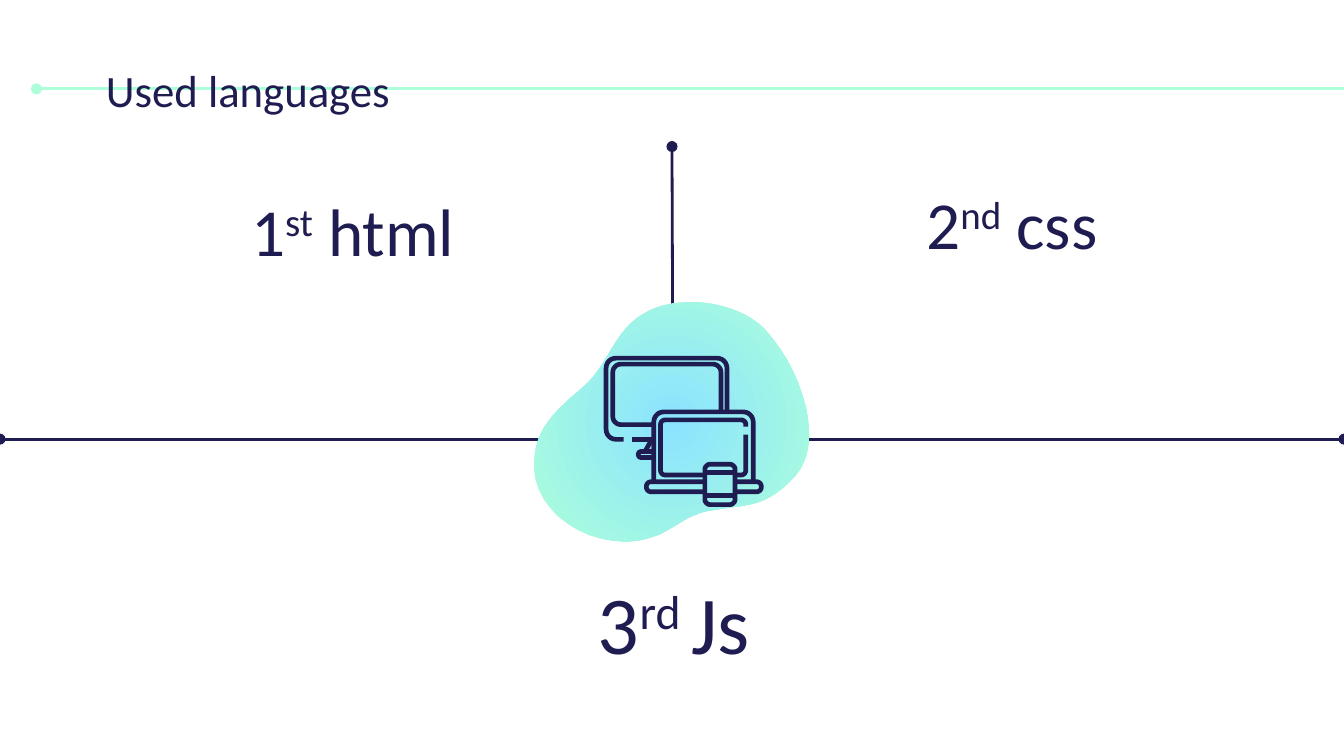
"""Build the used-languages slide with its three labelled areas."""
from typing import NamedTuple

from lxml import etree
from pptx import Presentation
from pptx import util as u
from pptx.dml.color import RGBColor
from pptx.enum import shapes, text
from pptx.oxml import ns

NAVY, MINT, SKY = "1F1C51", "ACFFD9", "8BE3FF"
FONT = "Calibri"
MILLI_INCH = u.Cm(2.54) / 1000


class Rule(NamedTuple):
    """A straight line in centimetres, with its dotted ends."""
    start: tuple
    end: tuple
    color: str
    dots: tuple


class Label(NamedTuple):
    """An ordinal label in centimetres."""
    box: tuple
    words: tuple
    size: int
    align: text.PP_ALIGN


class Stroke(NamedTuple):
    """A polyline in thousandths of an inch, with its corner radius."""
    points: list
    radius: int = 0


RULES = [
    Rule((0.69, 1.68), (25.4, 1.68), MINT, ("headEnd",)),
    Rule((25.4, 8.3), (0, 8.3), NAVY, ("headEnd", "tailEnd")),
    Rule((12.72, 8.3), (12.7, 2.77), NAVY, ("headEnd", "tailEnd")),
]
LABELS = [
    Label((3.99, 3.33, 4.85, 1.52), ("1", "st", " html"), 36, text.PP_ALIGN.RIGHT),
    Label((15.24, 3.2, 7.77, 2.18), ("2", "nd", " css"), 36, text.PP_ALIGN.CENTER),
    Label((9.42, 10.57, 5, 1.63), ("3", "rd ", "Js"), 44, text.PP_ALIGN.RIGHT),
]
BLOB_START = (5150, 2250)
BLOB_CURVES = [
    ((5020, 2250), (4900, 2270), (4800, 2330)),
    ((4570, 2450), (4530, 2720), (4340, 2880)),
    ((4170, 3030), (4010, 3150), (3980, 3380)),
    ((3920, 3760), (4300, 4030), (4650, 4030)),
    ((4740, 4030), (4830, 4010), (4920, 3970)),
    ((5040, 3910), (5140, 3820), (5280, 3800)),
    ((5560, 3750), (5670, 3780), (5870, 3590)),
    ((6080, 3410), (6040, 3100), (5930, 2830)),
    ((5870, 2680), (5770, 2540), (5690, 2450)),
    ((5560, 2320), (5350, 2250), BLOB_START),
]
MONITOR = [
    Stroke([(4640, 3270), (4510, 3270), (4510, 2665), (5410, 2665), (5410, 3050)], 75),
    Stroke([(4860, 3160), (4560, 3160), (4560, 2710), (5365, 2710), (5365, 3050)], 60),
    Stroke([(4700, 3270), (4860, 3270)]),
    Stroke([(4845, 3280), (4800, 3360)]),
    Stroke([(4860, 3360), (4750, 3360), (4750, 3405), (4860, 3405)], 20),
]
LAPTOP = [
    Stroke([(4865, 3585), (4865, 3065), (5605, 3065), (5605, 3585)], 75),
    Stroke([(5550, 3175), (5550, 3125), (4915, 3125), (4915, 3535), (5245, 3535)], 35),
    Stroke([(5550, 3235), (5550, 3535), (5475, 3535)], 35),
    Stroke([(5245, 3585), (4810, 3585), (4810, 3660), (5245, 3660)], 35),
    Stroke([(5475, 3585), (5665, 3585), (5665, 3660), (5475, 3660)], 35),
]
PHONE = [
    Stroke([(5360, 3455), (5245, 3455), (5245, 3755), (5470, 3755),
            (5470, 3455), (5360, 3455)], 40),
    Stroke([(5245, 3515), (5470, 3515)]),
    Stroke([(5245, 3690), (5470, 3690)]),
]


def rgb(value: str) -> RGBColor:
    """Turn a hex string into a colour."""
    return RGBColor.from_string(value)


def bezier(points: tuple, steps: int = 12) -> list:
    """Sample a cubic curve, leaving out its first point."""
    def at(t: float) -> tuple:
        """Return the point at t."""
        weights = ((1 - t) ** 3, 3 * t * (1 - t) ** 2, 3 * t * t * (1 - t), t ** 3)
        return tuple(sum(w * p[axis] for w, p in zip(weights, points)) for axis in (0, 1))
    return [at(step / steps) for step in range(1, steps + 1)]


def toward(start: tuple, end: tuple, distance: float) -> tuple:
    """Return the point that lies a distance along a segment."""
    length = max(abs(end[0] - start[0]), abs(end[1] - start[1]))
    return tuple(a + (b - a) * min(distance / length, 1) for a, b in zip(start, end))


def rounded(stroke: Stroke) -> list:
    """Return the points of a stroke with its corners rounded."""
    points = stroke.points
    result = [points[0]]
    for before, corner, after in zip(points, points[1:], points[2:]):
        enter = toward(corner, before, stroke.radius)
        leave = toward(corner, after, stroke.radius)
        handles = [toward(end, corner, stroke.radius * 0.55) for end in (enter, leave)]
        result += [enter, *bezier((enter, *handles, leave), 6)]
    return result + [points[-1]]


def draw_rule(page, rule: Rule) -> None:
    """Draw a line with round dots at its ends."""
    ends = [u.Cm(value) for value in rule.start + rule.end]
    line = page.shapes.add_connector(shapes.MSO_CONNECTOR.STRAIGHT, *ends)
    line.line.color.rgb = rgb(rule.color)
    line.line.width = u.Pt(1.5)
    outline = line._element.spPr.get_or_add_ln()
    for dot in rule.dots:
        etree.SubElement(outline, ns.qn(f"a:{dot}"), type="oval")
    etree.SubElement(line._element.spPr, ns.qn("a:effectLst"))


def format_text(box, words: tuple, size: int, align: text.PP_ALIGN) -> None:
    """Write one paragraph whose second run, if any, is raised."""
    frame = box.text_frame
    frame.word_wrap = True
    frame.auto_size = text.MSO_AUTO_SIZE.NONE
    frame.vertical_anchor = text.MSO_ANCHOR.TOP
    frame.margin_left = frame.margin_right = u.Cm(0.25)
    frame.margin_top = frame.margin_bottom = u.Cm(0.25)
    para = frame.paragraphs[0]
    para.alignment = align
    para.font.name, para.font.size = FONT, u.Pt(size)
    para.font.color.rgb = rgb(NAVY)
    for index, word in enumerate(words):
        span = para.add_run()
        span.text = word
        if index == 1:
            span._r.get_or_add_rPr().set("baseline", "30000")


def draw_title(page, words: str) -> None:
    """Place the title over the line behind it."""
    title = page.shapes.title
    title.left, title.top, title.width, title.height = map(u.Cm, (1.75, 0.94, 16.89, 1.5))
    format_text(title, (words,), 24, text.PP_ALIGN.LEFT)
    page.shapes._spTree.append(title._element)


def draw_blob(page) -> None:
    """Draw the soft outline with a radial gradient."""
    builder = page.shapes.build_freeform(*BLOB_START, scale=MILLI_INCH)
    start = BLOB_START
    for curve in BLOB_CURVES:
        builder.add_line_segments(bezier((start, *curve)), close=False)
        start = curve[-1]
    builder.add_line_segments([], close=True)
    blob = builder.convert_to_shape()
    blob.shadow.inherit = False
    blob.line.fill.background()
    blob.fill.gradient()
    for stop, color, position in zip(blob.fill.gradient_stops, (SKY, MINT), (0, 1)):
        stop.color.rgb, stop.position = rgb(color), position
    gradient = blob._element.spPr.find(ns.qn("a:gradFill"))
    gradient.remove(gradient.find(ns.qn("a:lin")))
    radial = etree.SubElement(gradient, ns.qn("a:path"), path="circle")
    etree.SubElement(radial, ns.qn("a:fillToRect"), dict.fromkeys("ltrb", "50000"))


def draw_icon(page, strokes: list) -> None:
    """Draw strokes as one outlined shape."""
    builder = page.shapes.build_freeform(*strokes[0].points[0], scale=MILLI_INCH)
    for stroke in strokes:
        first, *others = rounded(stroke)
        builder.move_to(*first)
        builder.add_line_segments(others, close=False)
    icon = builder.convert_to_shape()
    icon.shadow.inherit = False
    icon.fill.background()
    icon.line.color.rgb = rgb(NAVY)
    icon.line.width = u.Pt(2.5)


def main() -> None:
    """Build and save the deck."""
    deck = Presentation()
    deck.slide_width, deck.slide_height = u.Cm(25.4), u.Cm(14.29)
    page = deck.slides.add_slide(deck.slide_layouts[5])
    for rule in RULES:
        draw_rule(page, rule)
    draw_blob(page)
    draw_title(page, "Used languages")
    draw_icon(page, MONITOR + LAPTOP + PHONE)
    for label in LABELS:
        box = page.shapes.add_textbox(*map(u.Cm, label.box))
        format_text(box, label.words, label.size, label.align)
    deck.save("out.pptx")


if __name__ == "__main__":
    main()
